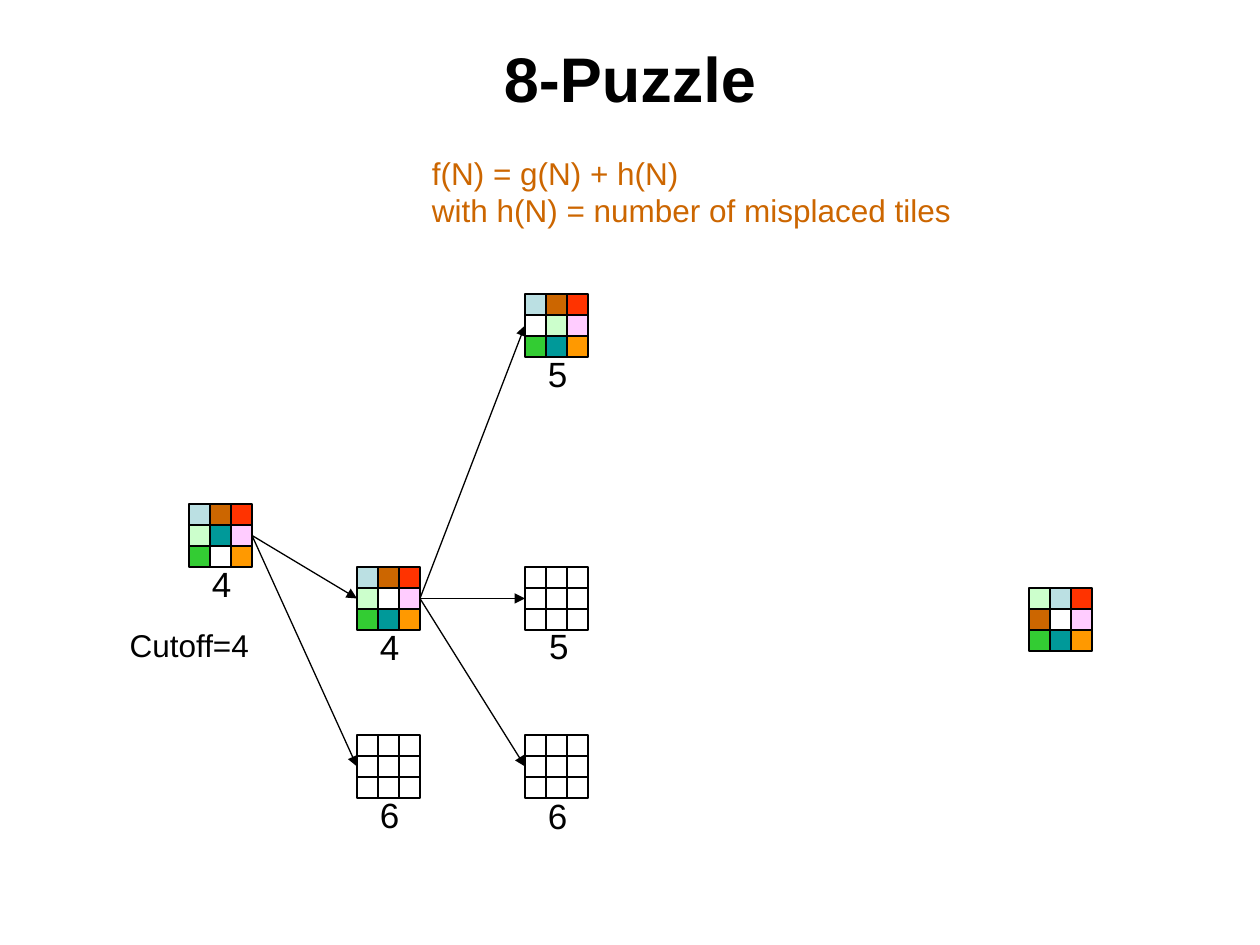
from pptx import Presentation
from pptx.dml.color import RGBColor
from pptx.enum.shapes import MSO_CONNECTOR, MSO_SHAPE
from pptx.enum.text import MSO_ANCHOR, MSO_AUTO_SIZE, PP_ALIGN
from pptx.oxml.ns import qn
from pptx.util import Inches, Pt
from lxml import etree

RECT = MSO_SHAPE.RECTANGLE
LINE = MSO_CONNECTOR.STRAIGHT
LEFT, CENTER = PP_ALIGN.LEFT, PP_ALIGN.CENTER
TOP, MIDDLE = MSO_ANCHOR.TOP, MSO_ANCHOR.MIDDLE
FIT, FIXED = MSO_AUTO_SIZE.SHAPE_TO_FIT_TEXT, MSO_AUTO_SIZE.NONE
LEFT_SIDE, RIGHT_SIDE = 1, 3

# One letter per tile colour; a dot is the blank or an unshown tile
THEME = {
    "font": "Arial", "title": 36, "body": 18, "score": 20, "line": 0.75,
    "ink": "000000", "paper": "FFFFFF", "note": "CC6600",
    "tiles": {
        "a": "BBE0E3", "b": "CC6600", "c": "FF3300", "d": "CCFFCC",
        "e": "009999", "f": "FFCCFF", "g": "33CC33", "h": "FF9900",
        ".": "FFFFFF",
    },
}
TILE = 1 / 6


def color(name):
    return RGBColor.from_string(name)


def add_text(text, x, y, w, h, size, ink=THEME["ink"], bold=False,
             align=LEFT, anchor=TOP, wrap=False, fill=None):
    box = slide.shapes.add_textbox(Inches(x), Inches(y), Inches(w), Inches(h))
    if fill:
        box.fill.solid()
        box.fill.fore_color.rgb = color(fill)
    frame = box.text_frame
    frame.word_wrap = wrap
    frame.auto_size = FIXED if wrap else FIT
    frame.vertical_anchor = anchor
    frame.text = text
    for para in frame.paragraphs:
        para.alignment = align
        font = para.runs[0].font
        font.name, font.size, font.bold = THEME["font"], Pt(size), bold
        font.color.rgb = color(ink)


deck = Presentation()
deck.slide_width, deck.slide_height = Inches(10), Inches(7.5)
slide = deck.slides.add_slide(deck.slide_layouts[6])

# Title and heuristic
add_text("8-Puzzle", 0.5, 0.3, 9, 0.62, THEME["title"], bold=True,
         align=CENTER, anchor=MIDDLE, wrap=True)
add_text("f(N) = g(N) + h(N)\nwith h(N) = number of misplaced tiles",
         3.33, 1.17, 4.32, 0.7, THEME["body"], ink=THEME["note"])
add_text("Cutoff=4", 0.93, 4.92, 1.15, 0.4, THEME["body"])

# Boards: name, column and row in tile units, tiles, score, score nudge, parent
BLANK = "." * 9
boards = [
    ("start", 9, 24, "abcdefg.h", "4", (0, 0), None),
    ("goal", 49, 28, "dacb.fgeh", None, (0, 0), None),
    ("up", 17, 27, "abcd.fgeh", "4", (0, 0), "start"),
    ("side", 17, 35, BLANK, "6", (0, 0), "start"),
    ("low", 25, 35, BLANK, "6", (0, 0.01), "up"),
    ("mid", 25, 27, BLANK, "5", (0.01, -0.01), "up"),
    ("high", 25, 14, "abc.dfgeh", "5", (0, 0), "up"),
]
grids = {}
for name, col, row, tiles, score, (dx, dy), parent in boards:
    # Score below the board
    if score:
        add_text(score, (col + 0.5) * TILE + dx, (row + 2.5) * TILE + dy,
                 0.35, 0.44, THEME["score"],
                 fill=THEME["paper"] if tiles == BLANK else None)

    # Three by three tiles
    grid = grids[name] = []
    for i, key in enumerate(tiles):
        cell = slide.shapes.add_shape(
            RECT, Inches((col + i % 3) * TILE), Inches((row + i // 3) * TILE),
            Inches(TILE), Inches(TILE))
        cell.shadow.inherit = False
        cell.fill.solid()
        cell.fill.fore_color.rgb = color(THEME["tiles"][key])
        cell.line.color.rgb = color(THEME["ink"])
        cell.line.width = Pt(THEME["line"])
        grid.append(cell)

    # Arrow from the parent's right side to this board's left side
    if parent:
        link = slide.shapes.add_connector(LINE, 0, 0, 0, 0)
        link.begin_connect(grids[parent][5], RIGHT_SIDE)
        link.end_connect(grid[3], LEFT_SIDE)
        link.line.color.rgb = color(THEME["ink"])
        link.line.width = Pt(THEME["line"])
        etree.SubElement(link.line._get_or_add_ln(), qn("a:tailEnd"),
                         type="triangle")
        etree.SubElement(link._element.spPr, qn("a:effectLst"))

deck.save("out.pptx")
